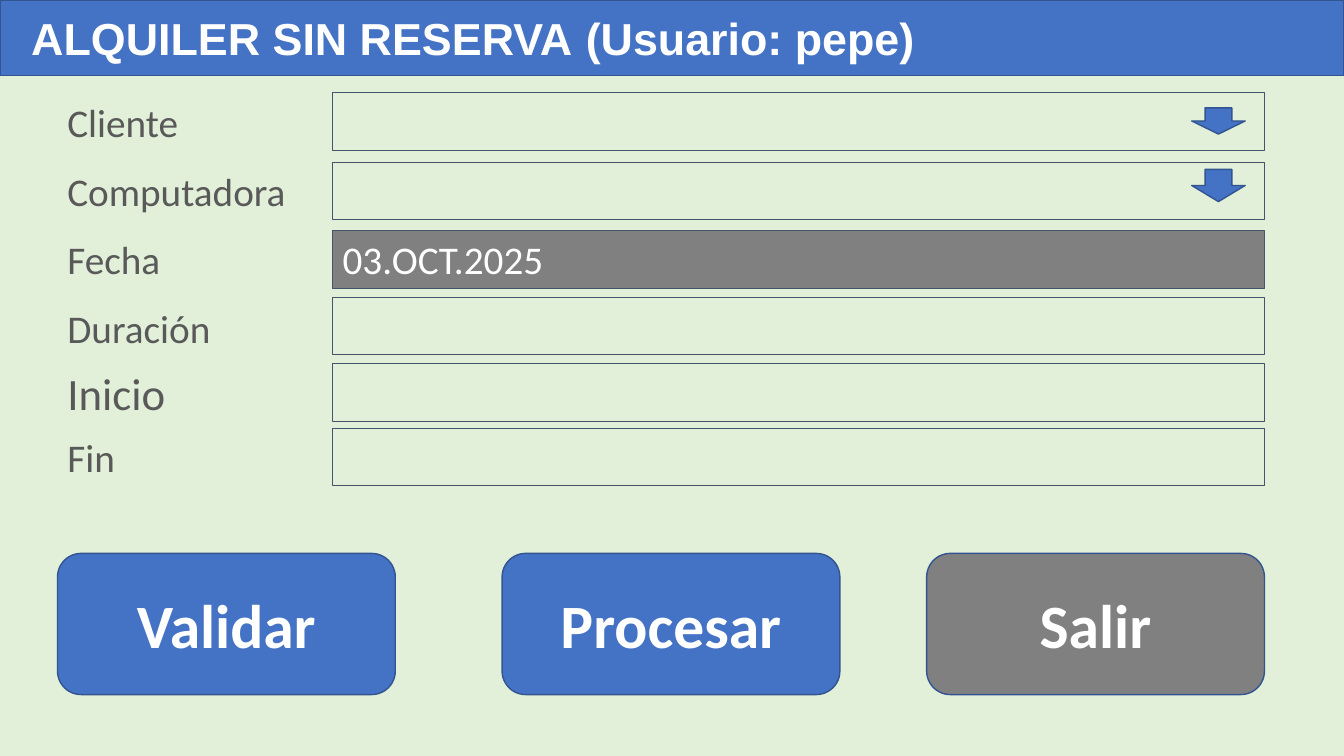
from lxml.etree import SubElement
from pptx import Presentation
from pptx.dml.color import RGBColor
from pptx.enum.shapes import MSO_SHAPE as Shape
from pptx.enum.text import MSO_ANCHOR as Anchor, MSO_AUTO_SIZE as AutoSize, PP_ALIGN as Align
from pptx.oxml.ns import qn
from pptx.util import Inches, Pt

BLUE, GRAY, WHITE = "4472C4", "808080", "FFFFFF"
EDGE, FIELD_EDGE, LABEL, PAGE = "325491", "44546A", "595959", "E2F0D9"
LEFT, FIELD_LEFT, FIELD_WIDTH, ROW_HEIGHT = 4.28, 24.76, 69.32, 7.6
BUTTON_WIDTH = 25.13


def color(hex_text):
    """Turn a hex string into a colour."""
    return RGBColor.from_string(hex_text)


class FormPage:
    """Holds the style and the current slide; lengths are percentages of its size."""

    def __init__(self, deck):
        """Add a title-only slide with the form's background."""
        self.deck = deck
        self.page = deck.slides.add_slide(deck.slide_layouts[5])
        self.page.background.fill.solid()
        self.page.background.fill.fore_color.rgb = color(PAGE)

    def place(self, left, top, width, height):
        """Convert percentages of the slide into lengths."""
        across, down = self.deck.slide_width, self.deck.slide_height
        return [round(share * whole / 100) for share, whole in
                ((left, across), (top, down), (width, across), (height, down))]

    def paint(self, box, fill, edge=EDGE, weight=1):
        """Set the fill and outline of a box."""
        if fill:
            box.fill.solid()
            box.fill.fore_color.rgb = color(fill)
        else:
            box.fill.background()
        box.line.color.rgb = color(edge)
        box.line.width = Pt(weight)

    def set_text(self, box, text, size, ink, font="Calibri", bold=False,
                 align=Align.LEFT, anchor=Anchor.TOP):
        """Put one formatted paragraph in a box."""
        frame = box.text_frame
        frame.text = text
        frame.word_wrap = True
        frame.auto_size = AutoSize.NONE
        frame.vertical_anchor = anchor
        para = frame.paragraphs[0]
        para.alignment = align
        para.font.name, para.font.size, para.font.bold = font, Pt(size), bold
        para.font.color.rgb = color(ink)

    def title(self, heading, user):
        """Fill the title band, with the user name at a right tab."""
        band = self.page.shapes.title
        band.left, band.top, band.width, band.height = self.place(0, 0, 100, 10)
        self.paint(band, BLUE)
        band.text_frame.margin_left = Inches(0.31)
        para = band.text_frame.paragraphs[0]
        tabs = SubElement(para._p.get_or_add_pPr(), qn("a:tabLst"))
        SubElement(tabs, qn("a:tab"), pos=str(Inches(12.67)), algn="r")
        self.set_text(band, f"{heading}\t{user}", 32, WHITE, "Arial", True,
                      anchor=Anchor.MIDDLE)

    def label(self, text, top, width, size):
        """Add the name of a field."""
        height = ROW_HEIGHT * size / 28
        box = self.page.shapes.add_textbox(*self.place(LEFT, top, width, height))
        self.set_text(box, text, size, LABEL)

    def shape(self, kind, left, top, width, height, fill, edge=EDGE, weight=1):
        """Add a flat painted shape."""
        box = self.page.shapes.add_shape(kind, *self.place(left, top, width, height))
        box.shadow.inherit = False
        self.paint(box, fill, edge, weight)
        return box

    def field(self, top, value):
        """Add an input field, gray when it holds a fixed value."""
        box = self.shape(Shape.RECTANGLE, FIELD_LEFT, top, FIELD_WIDTH, ROW_HEIGHT,
                         GRAY if value else None, FIELD_EDGE, 0.75)
        if value:
            self.set_text(box, value, 28, WHITE)

    def arrow(self, top, height):
        """Add a drop-down arrow."""
        self.shape(Shape.DOWN_ARROW, 88.67, top, 3.98, height, BLUE)

    def button(self, text, left, fill):
        """Add a rounded button."""
        box = self.shape(Shape.ROUNDED_RECTANGLE, left, 73.2, BUTTON_WIDTH, 18.67, fill)
        self.set_text(box, text, 44, WHITE, bold=True, align=Align.CENTER,
                      anchor=Anchor.MIDDLE)


def main():
    """Build the rental form."""
    deck = Presentation()
    deck.slide_width, deck.slide_height = Inches(13.33), Inches(7.5)
    form = FormPage(deck)
    form.title("ALQUILER SIN RESERVA", "(Usuario: pepe)")
    rows = [
        ("Cliente", 12.4, 14.4, 28, 12.27, ""),
        ("Computadora", 21.47, 18.6, 28, 21.47, ""),
        ("Fecha", 30.53, 18.6, 28, 30.53, "03.OCT.2025"),
        ("Duración", 39.6, 14.4, 28, 39.33, ""),
        ("Inicio", 47.73, 18.6, 32, 48.13, ""),
        ("Fin", 56.67, 18.6, 28, 56.67, ""),
    ]
    for name, label_top, label_width, size, field_top, value in rows:
        form.label(name, label_top, label_width, size)
        form.field(field_top, value)
    for top, height in ((14.27, 3.47), (22.4, 4.27)):
        form.arrow(top, height)
    last_button = FIELD_LEFT + FIELD_WIDTH - BUTTON_WIDTH
    for text, left, fill in (("Validar", LEFT, BLUE), ("Procesar", 37.36, BLUE),
                             ("Salir", last_button, GRAY)):
        form.button(text, left, fill)
    deck.save("out.pptx")


if __name__ == "__main__":
    main()
